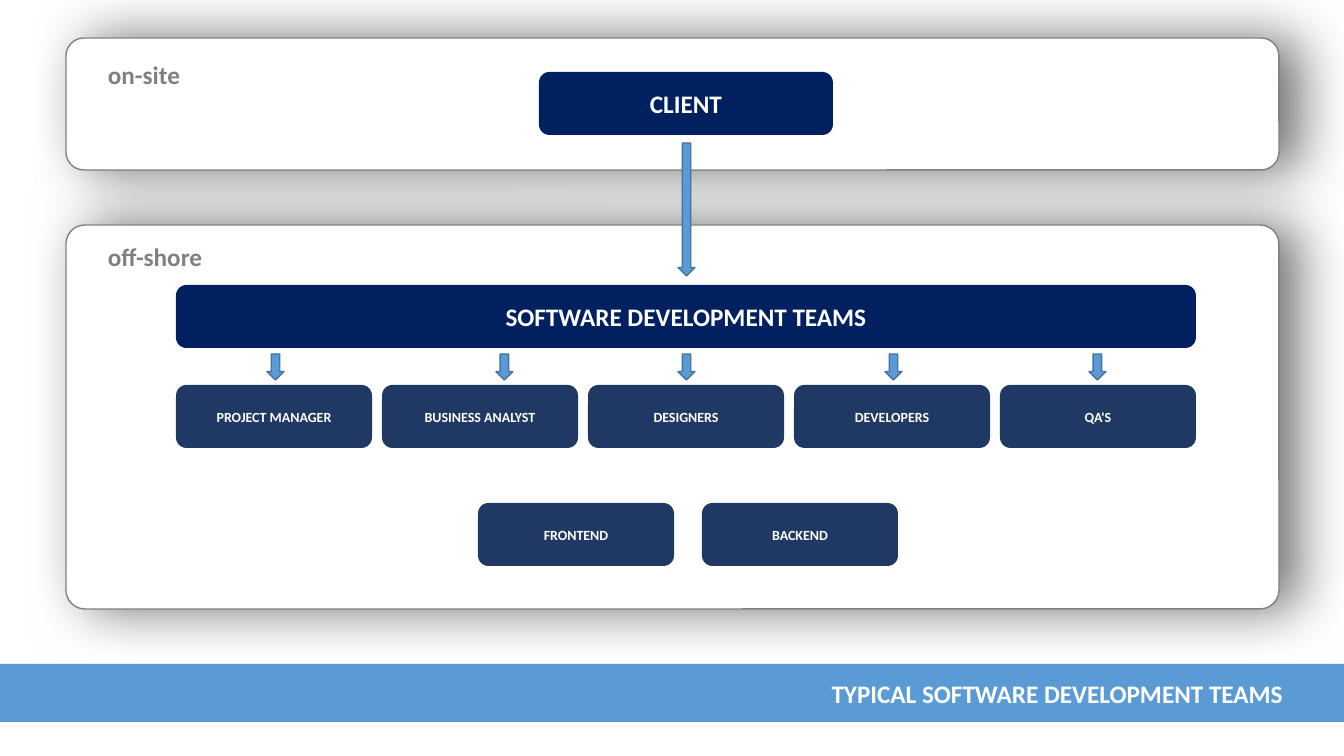
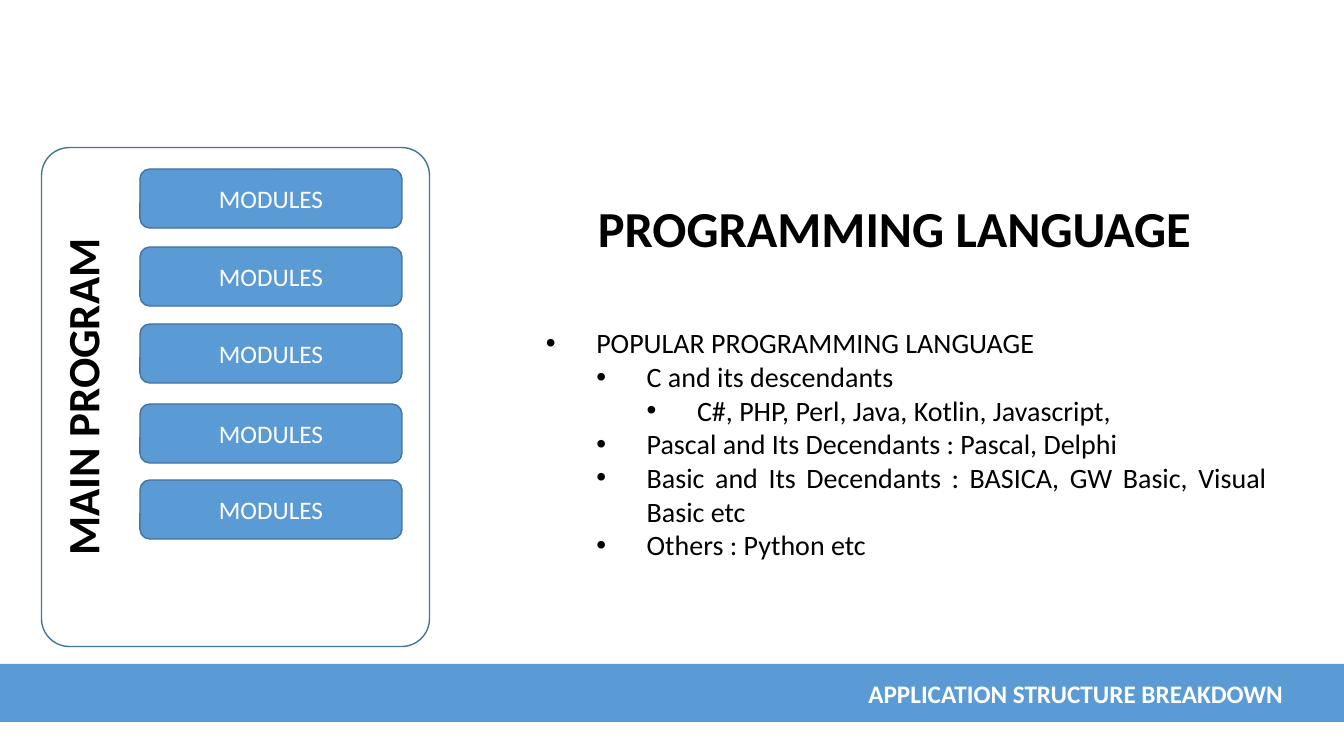
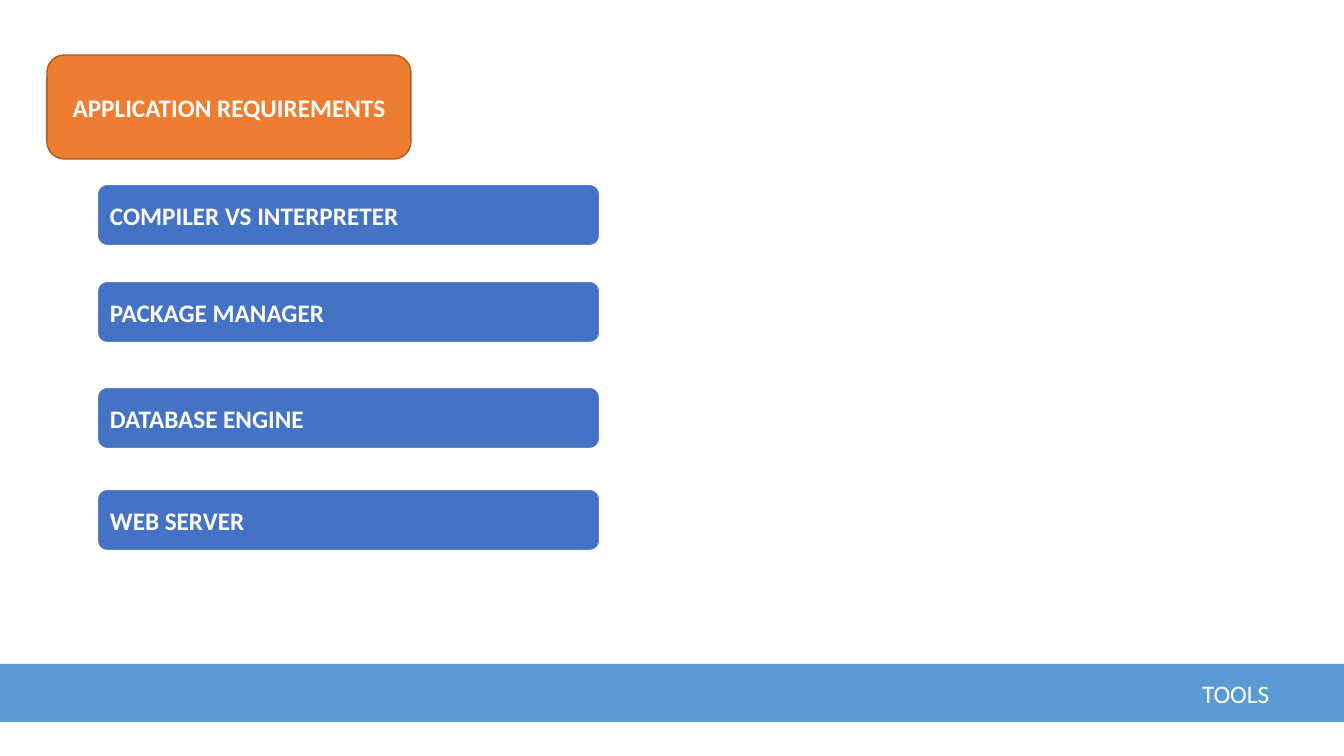
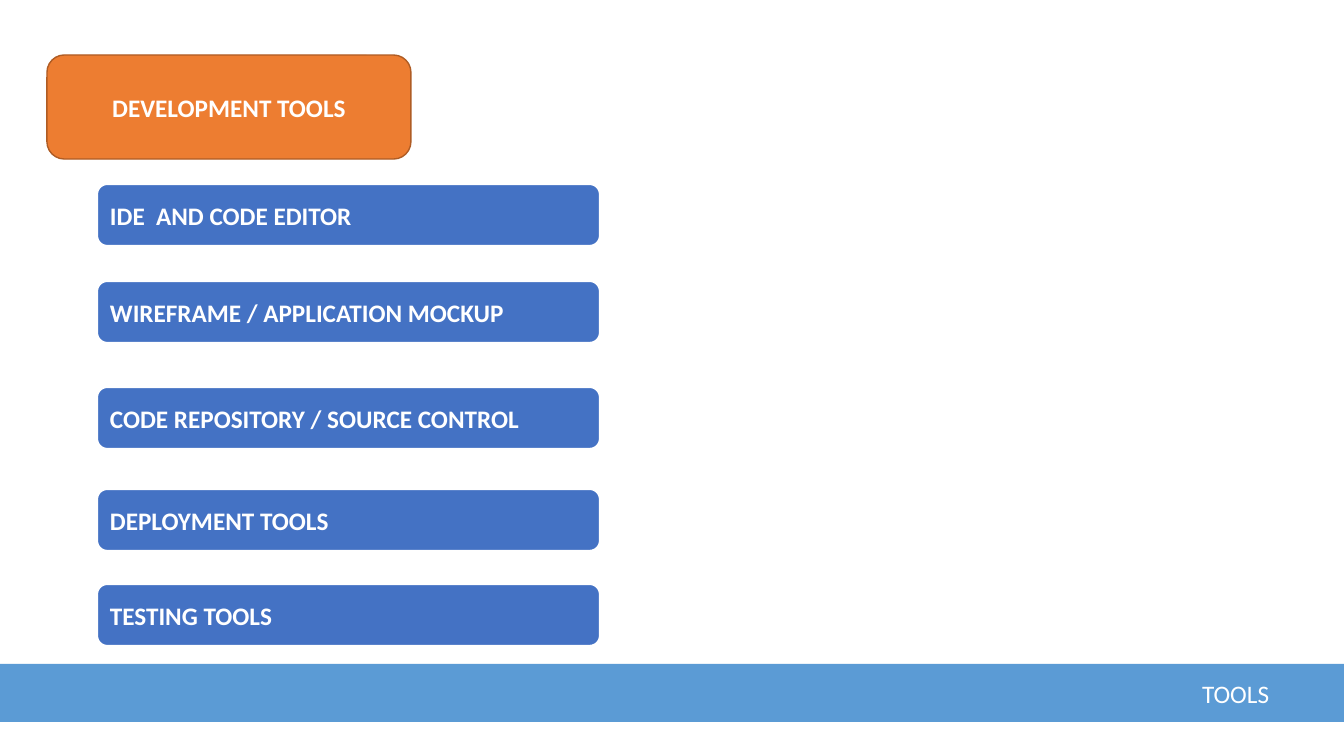
"""Build four slides on software teams, program structure and tools."""
from lxml.etree import SubElement
from pptx import Presentation
from pptx.dml.color import RGBColor
from pptx.enum.shapes import MSO_SHAPE
from pptx.enum.text import MSO_ANCHOR, PP_ALIGN
from pptx.oxml.ns import qn
from pptx.util import Emu, Pt

WHITE = RGBColor(0xFF, 0xFF, 0xFF)
BLACK = RGBColor(0x00, 0x00, 0x00)
GRAY = RGBColor(0x80, 0x80, 0x80)
SKY = RGBColor(0x5B, 0x9B, 0xD5)
STEEL = RGBColor(0x43, 0x73, 0x9E)
NAVY = RGBColor(0x00, 0x20, 0x60)
DUSK = RGBColor(0x20, 0x38, 0x64)
BLUE = RGBColor(0x44, 0x72, 0xC4)
ORANGE = RGBColor(0xED, 0x7D, 0x31)
RUST = RGBColor(0xAF, 0x5C, 0x24)
FONT = "Calibri"
SCALE = 914400 / 100.8

ROUND = MSO_SHAPE.ROUNDED_RECTANGLE
LEFT, MID, RIGHT = PP_ALIGN.LEFT, PP_ALIGN.CENTER, PP_ALIGN.RIGHT

SITES = [
    ("on-site", 54, (66, 38, 1213, 132), 0.135),
    ("off-shore", 236, (66, 225, 1213, 384), 0.049),
]
HEADS = [
    ("CLIENT", (539, 72, 294, 63)),
    ("SOFTWARE DEVELOPMENT TEAMS", (176, 285, 1020, 63)),
]
ROLES = ["PROJECT MANAGER", "BUSINESS ANALYST", "DESIGNERS", "DEVELOPERS", "QA'S"]
ENDS = ["FRONTEND", "BACKEND"]
ROWS = [(ROLES, 176, 206, 385), (ENDS, 478, 224, 503)]
DROPS = [267, 496, 678, 885, 1089]

MODULES = [169, 247, 324, 404, 480]
TOPICS = [
    (1, "POPULAR PROGRAMMING LANGUAGE"),
    (2, "C and its descendants"),
    (3, "C#, PHP, Perl, Java, Kotlin, Javascript,"),
    (2, "Pascal and Its Decendants : Pascal, Delphi"),
    (2, "Basic and Its Decendants : BASICA, GW Basic, Visual Basic etc"),
    (2, "Others : Python etc"),
]

TOOLS = [
    ("APPLICATION REQUIREMENTS",
     ["COMPILER VS INTERPRETER", "PACKAGE MANAGER", "DATABASE ENGINE",
      "WEB SERVER"]),
    ("DEVELOPMENT TOOLS",
     ["IDE  AND CODE EDITOR", "WIREFRAME / APPLICATION MOCKUP",
      "CODE REPOSITORY / SOURCE CONTROL", "DEPLOYMENT TOOLS", "TESTING TOOLS"]),
]
TOPS = [184, 281, 387, 489, 584]


def px(num):
    return Emu(round(num * SCALE))


def style(para, size, color, bold, align):
    para.alignment = align
    for run in para.runs:
        font = run.font
        font.name, font.size, font.bold = FONT, Pt(size), bold
        font.color.rgb = color


def write(shape, text, size=18, color=WHITE, bold=True, align=MID,
          anchor=MSO_ANCHOR.MIDDLE):
    frame = shape.text_frame
    frame.word_wrap = True
    frame.vertical_anchor = anchor
    frame.text = text
    for para in frame.paragraphs:
        style(para, size, color, bold, align)


def draw(slide, kind, box, fill=None, line=None, width=1):
    shape = slide.shapes.add_shape(kind, *map(px, box))
    shape.shadow.inherit = False
    if fill is None:
        shape.fill.background()
    else:
        shape.fill.solid()
        shape.fill.fore_color.rgb = fill
    if line is None:
        shape.line.fill.background()
    else:
        shape.line.color.rgb = line
        shape.line.width = Pt(width)
    return shape


def label(slide, box, text, **look):
    shape = slide.shapes.add_textbox(*map(px, box))
    write(shape, text, **look)
    return shape


def glow(shape):
    effects = shape.element.spPr.find(qn("a:effectLst"))
    outer = SubElement(effects, qn("a:outerShdw"), blurRad=str(Pt(40)),
                       dist=str(Pt(14)), dir=str(359 * 60000),
                       algn="ctr", rotWithShape="0")
    color = SubElement(outer, qn("a:srgbClr"), val=str(BLACK))
    SubElement(color, qn("a:alpha"), val="56000")


def bullet(para, level):
    para.level = level - 1
    props = para._p.get_or_add_pPr()
    step = round(50.4 * SCALE)
    props.set("marL", str(level * step))
    props.set("indent", str(-step))
    SubElement(props, qn("a:buFont"), typeface="Arial")
    SubElement(props, qn("a:buChar"), char="•")


def start(deck, title, bold=True, left=86, width=1210, inset=10):
    slide = deck.slides.add_slide(deck.slide_layouts[6])
    draw(slide, MSO_SHAPE.RECTANGLE, (-2, 664, 1348, 58), SKY)
    shape = draw(slide, ROUND, (left, 664, width, 58))
    write(shape, title, bold=bold, align=RIGHT)
    shape.text_frame.margin_right = px(inset)
    return slide


def teams(deck):
    slide = start(deck, "TYPICAL SOFTWARE DEVELOPMENT TEAMS")
    for _, _, box, bend in SITES:
        panel = draw(slide, ROUND, box, WHITE, GRAY)
        panel.adjustments[0] = bend
        glow(panel)
    for name, box in HEADS:
        write(draw(slide, ROUND, box, NAVY), name)
    for names, left, step, top in ROWS:
        for col, name in enumerate(names):
            box = (left + col * step, top, 196, 63)
            write(draw(slide, ROUND, box, DUSK), name, size=10)
    arrows = [(left, 354, 17, 26) for left in DROPS] + [(678, 143, 17, 133)]
    for box in arrows:
        draw(slide, MSO_SHAPE.DOWN_ARROW, box, SKY, STEEL)
    for name, top, _, _ in SITES:
        label(slide, (98, top, 231, 40), name, color=GRAY, align=LEFT,
              anchor=MSO_ANCHOR.TOP)


def code(deck):
    slide = start(deck, "APPLICATION STRUCTURE BREAKDOWN")
    main = draw(slide, ROUND, (-14, 203, 499, 388), None, STEEL)
    main.adjustments[0] = 0.072
    main.rotation = 270
    write(main, "MAIN PROGRAM", size=32, color=BLACK, anchor=MSO_ANCHOR.TOP)
    for top in MODULES:
        part = draw(slide, ROUND, (140, top, 262, 59), SKY, STEEL)
        write(part, "MODULES", bold=False)
    label(slide, (524, 149, 741, 156), "PROGRAMMING LANGUAGE", size=36,
          color=BLACK)
    body = label(slide, (536, 321, 741, 328),
                 "\n".join(text for _, text in TOPICS), size=20, color=BLACK,
                 bold=False, align=PP_ALIGN.JUSTIFY, anchor=MSO_ANCHOR.TOP)
    for para, (level, _) in zip(body.text_frame.paragraphs, TOPICS):
        bullet(para, level)


def tools(deck, title, items):
    slide = start(deck, "TOOLS", bold=False, left=-2, width=1299, inset=25)
    write(draw(slide, ROUND, (47, 55, 364, 104), ORANGE, RUST), title)
    for top, item in zip(TOPS, items):
        row = draw(slide, ROUND, (97, top, 503, 62), BLUE, WHITE, 1.5)
        write(row, item, align=LEFT)


deck = Presentation()
deck.slide_width, deck.slide_height = px(1344), px(756)
teams(deck)
code(deck)
for title, items in TOOLS:
    tools(deck, title, items)
deck.save("out.pptx")
